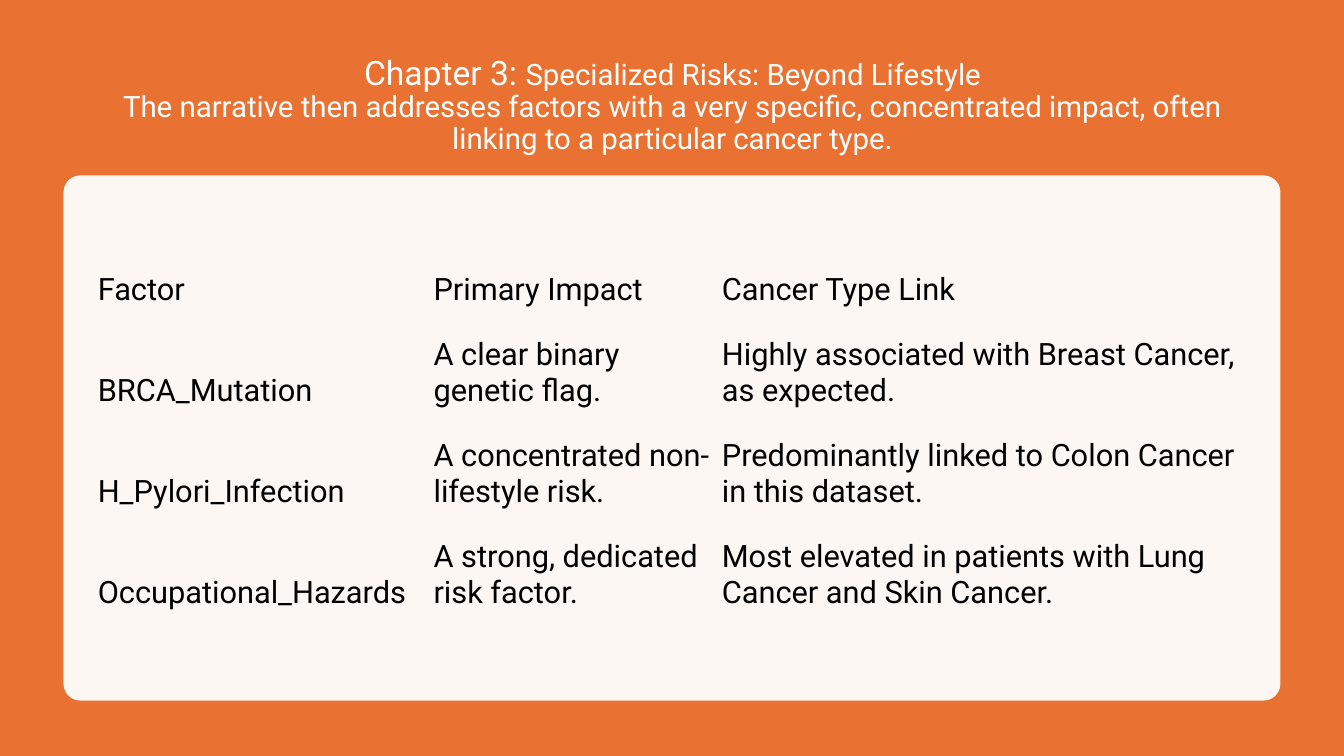
import pptx
import pptx.util
import pptx.dml.color
import pptx.enum.shapes
import pptx.enum.text
import pptx.oxml
import pptx.oxml.ns

Inches = pptx.util.Inches
COLORS = {"orange": "E97132", "white": "FFFFFF", "black": "000000"}
NO_TABLE_STYLE = "{2D5ABB26-0587-4C30-8999-92F81FD0307C}"

ROWS = [
    ("Factor", "Primary Impact", "Cancer Type Link"),
    ("BRCA_Mutation", "A clear binary genetic flag.",
     "Highly associated with Breast Cancer, as expected."),
    ("H_Pylori_Infection", "A concentrated non-lifestyle risk.",
     "Predominantly linked to Colon Cancer in this dataset."),
    ("Occupational_Hazards", "A strong, dedicated risk factor.",
     "Most elevated in patients with Lung Cancer and Skin Cancer."),
]


def rgb(name):
    return pptx.dml.color.RGBColor.from_string(COLORS[name])


def add_text(p, text, size=22, color="black", font="Roboto"):
    """Append text to a paragraph; each newline becomes a line break."""
    for i, line in enumerate(text.split("\n")):
        if i:
            p.add_line_break()
        r = p.add_run()
        r.text = line
        r.font.name = font
        r.font.size = pptx.util.Pt(size)
        r.font.color.rgb = rgb(color)


class SlideBuilder:
    def __init__(self, prs):
        self.slide = prs.slides.add_slide(prs.slide_layouts[5])
        self.shapes = self.slide.shapes

    def panel(self, kind, box, color, radius=None, opacity=None, behind=False):
        sp = self.shapes.add_shape(kind, *map(Inches, box))
        sp.shadow.inherit = False
        sp.fill.solid()
        sp.fill.fore_color.rgb = rgb(color)
        sp.line.fill.background()
        if radius is not None:
            sp.adjustments[0] = radius
        if opacity is not None:
            clr = sp.element.spPr.find(".//" + pptx.oxml.ns.qn("a:srgbClr"))
            clr.append(pptx.oxml.parse_xml(
                f'<a:alpha {pptx.oxml.ns.nsdecls("a")} val="{opacity * 1000}"/>'))
        if behind:
            self.shapes.element.insert(2, sp.element)

    def title(self, box, parts):
        sp = self.shapes.title
        sp.left, sp.top, sp.width, sp.height = map(Inches, box)
        tf = sp.text_frame
        tf.word_wrap = True
        tf.auto_size = pptx.enum.text.MSO_AUTO_SIZE.NONE
        tf.vertical_anchor = pptx.enum.text.MSO_ANCHOR.MIDDLE
        p = tf.paragraphs[0]
        p.alignment = pptx.enum.text.PP_ALIGN.CENTER
        p.line_spacing = 0.9
        for text, size in parts:
            add_text(p, text, size=size, color="white")

    def table(self, box, rows, widths, heights, side_margins):
        frame = self.shapes.add_table(len(rows), len(widths), *map(Inches, box))
        table = frame.table
        table.first_row = table.horz_banding = False
        style = table._tbl.tblPr.find(pptx.oxml.ns.qn("a:tableStyleId"))
        style.text = NO_TABLE_STYLE
        for col, width in zip(table.columns, widths):
            col.width = Inches(width)
        for row, height, texts in zip(table.rows, heights, rows):
            row.height = Inches(height)
            for cell, text, side in zip(row.cells, texts, side_margins):
                cell.fill.background()
                cell.vertical_anchor = pptx.enum.text.MSO_ANCHOR.BOTTOM
                cell.margin_left = cell.margin_right = Inches(side)
                cell.margin_top = cell.margin_bottom = Inches(0.11)
                add_text(cell.text_frame.paragraphs[0], text)


def main():
    prs = pptx.Presentation()
    prs.slide_width, prs.slide_height = Inches(13.33), Inches(7.5)
    s = SlideBuilder(prs)
    shape = pptx.enum.shapes.MSO_SHAPE

    # Backdrop and heading
    s.panel(shape.RECTANGLE, (0, 0, 13.33, 7.5), "orange", behind=True)
    s.title((0.92, 0.5, 11.5, 1.1), [
        ("Chapter 3: ", 24),
        ("Specialized Risks: Beyond Lifestyle\n"
         "The narrative then addresses factors with a very specific, "
         "concentrated impact, often linking to a particular cancer type.", 21),
    ])

    # Card with the risk factor table
    s.panel(shape.ROUNDED_RECTANGLE, (0.63, 1.74, 12.07, 5.21), "white",
            radius=0.032, opacity=95)
    s.table((0.92, 2.53, 11.5, 3.64), ROWS, widths=(3.33, 2.91, 5.25),
            heights=(0.64, 1, 1, 1), side_margins=(0.05, 0.05, 0))

    prs.save("out.pptx")


if __name__ == "__main__":
    main()
